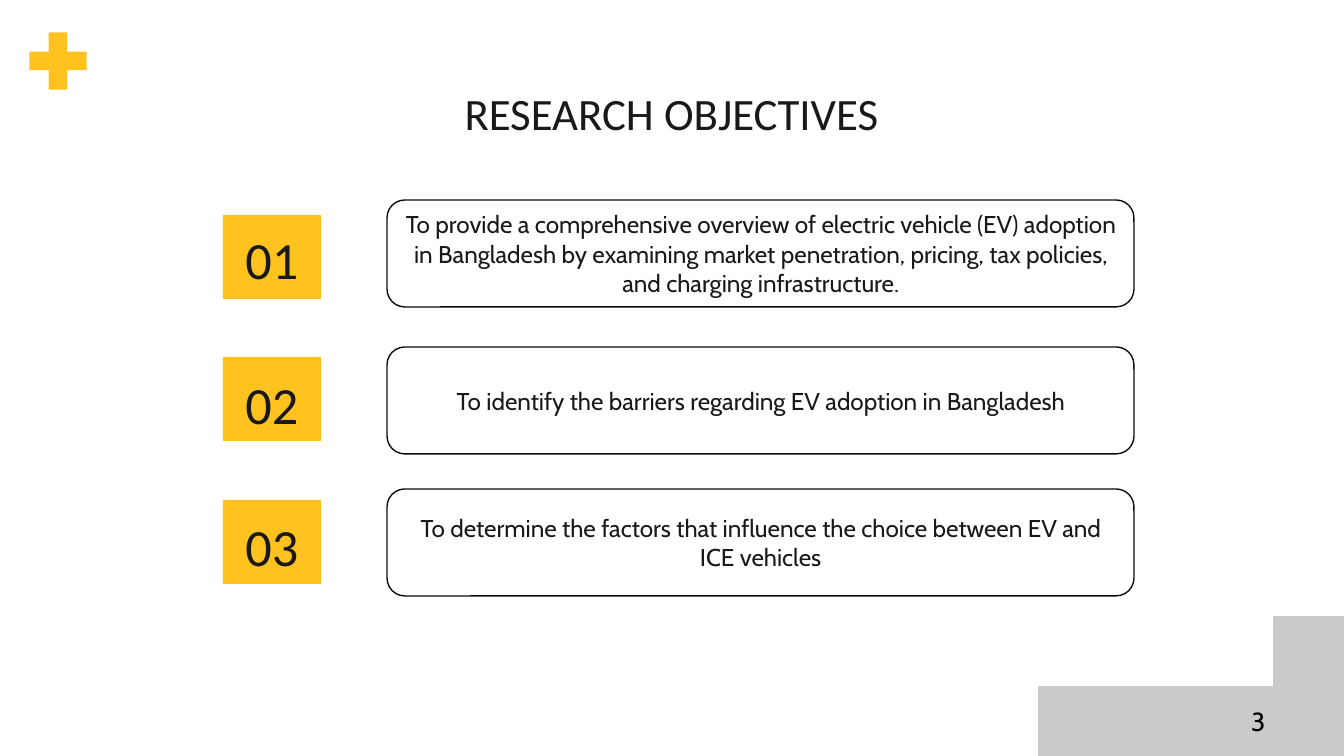
from pptx import Presentation
from pptx.dml.color import RGBColor
from pptx.enum.shapes import MSO_SHAPE
from pptx.enum.text import MSO_ANCHOR, PP_ALIGN
from pptx.util import Emu, Pt

# Content: number, objective, tops of the square, number and box in px
TITLE = "RESEARCH OBJECTIVES"
PAGE_NUMBER = "3"
OBJECTIVES = [
    ("01", "To provide a comprehensive overview of electric vehicle (EV) adoption "
           "in Bangladesh by examining market penetration, pricing, tax policies, "
           "and charging infrastructure.", (215, 226, 200)),
    ("02", "To identify the barriers regarding EV adoption in Bangladesh",
     (357, 371, 347)),
    ("03", "To determine the factors that influence the choice between EV and "
           "ICE vehicles", (500, 513, 489)),
]

# Format
YELLOW = RGBColor(0xFF, 0xC2, 0x1F)
GRAY = RGBColor(0xCA, 0xCA, 0xCA)
WHITE = RGBColor(0xFF, 0xFF, 0xFF)
OUTLINE = RGBColor(0x0B, 0x0B, 0x0B)
INK = RGBColor(0x19, 0x19, 0x19)
BLACK = RGBColor(0x00, 0x00, 0x00)
HEADING, BODY = "Calibri", "Cabin"
INSET = 13
NUMBER_X, NUMBER_W, SQUARE_H, NUMBER_H = 223, 98, 84, 56
BOX_X, BOX_W, BOX_H = 387, 747, 107


def px(length):
    return Emu(round(length * 914400 / 134.4))


def add_shape(kind, box, fill, line=None):
    shape = slide.shapes.add_shape(kind, *map(px, box))
    shape.shadow.inherit = False
    shape.fill.solid()
    shape.fill.fore_color.rgb = fill
    if line is None:
        shape.line.fill.background()
    else:
        shape.line.color.rgb = line
        shape.line.width = Pt(0.75)
    return shape


def write(shape, text, font, size, color=INK, align=PP_ALIGN.CENTER,
          anchor=MSO_ANCHOR.MIDDLE, spacing=None, **margins):
    frame = shape.text_frame
    frame_format = {"word_wrap": True, "vertical_anchor": anchor, **margins}
    for name, value in frame_format.items():
        setattr(frame, name, value)
    paragraph = frame.paragraphs[0]
    paragraph.alignment = align
    paragraph.line_spacing = spacing
    run = paragraph.add_run()
    run.text = text
    for name, value in {"name": font, "size": Pt(size)}.items():
        setattr(run.font, name, value)
    run.font.color.rgb = color


def add_text(box, text, font, size, **text_format):
    write(slide.shapes.add_textbox(*map(px, box)), text, font, size, **text_format)


prs = Presentation()
prs.slide_width, prs.slide_height = px(1344), px(756)
slide = prs.slides.add_slide(prs.slide_layouts[6])

# Corner decoration
plus = add_shape(MSO_SHAPE.MATH_PLUS, (19, 22, 78, 78), YELLOW)
plus.adjustments[0] = 0.235
for block in [(1039, 687, 305, 69), (1274, 617, 70, 70)]:
    add_shape(MSO_SHAPE.RECTANGLE, block, GRAY, GRAY)

# Numbered objectives
even_margins = {"margin_top": px(INSET), "margin_bottom": px(INSET)}
for number, objective, (square_y, number_y, box_y) in OBJECTIVES:
    add_shape(MSO_SHAPE.RECTANGLE, (NUMBER_X, square_y, NUMBER_W, SQUARE_H), YELLOW)
    add_text((NUMBER_X, number_y, NUMBER_W, NUMBER_H), number, HEADING, 28,
             spacing=1.15, **even_margins)
    objective_box = add_shape(MSO_SHAPE.ROUNDED_RECTANGLE,
                              (BOX_X, box_y, BOX_W, BOX_H), WHITE, OUTLINE)
    write(objective_box, objective, BODY, 13)

# Title and page number
add_text((105, 73, 1133, 85), TITLE, HEADING, 24, anchor=MSO_ANCHOR.TOP,
         **even_margins)
add_text((1238, 699, 106, 46), PAGE_NUMBER, BODY, 14, color=BLACK,
         align=PP_ALIGN.LEFT, anchor=MSO_ANCHOR.TOP)

prs.save("out.pptx")
